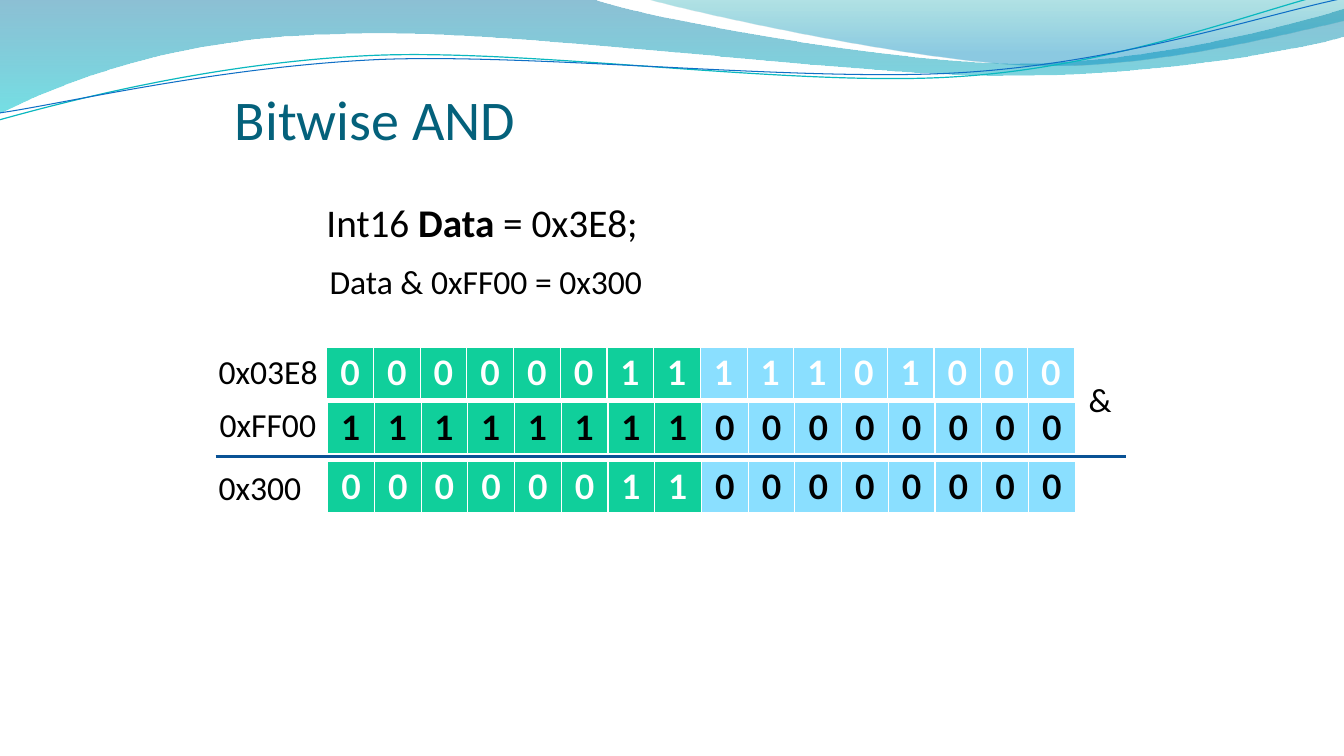
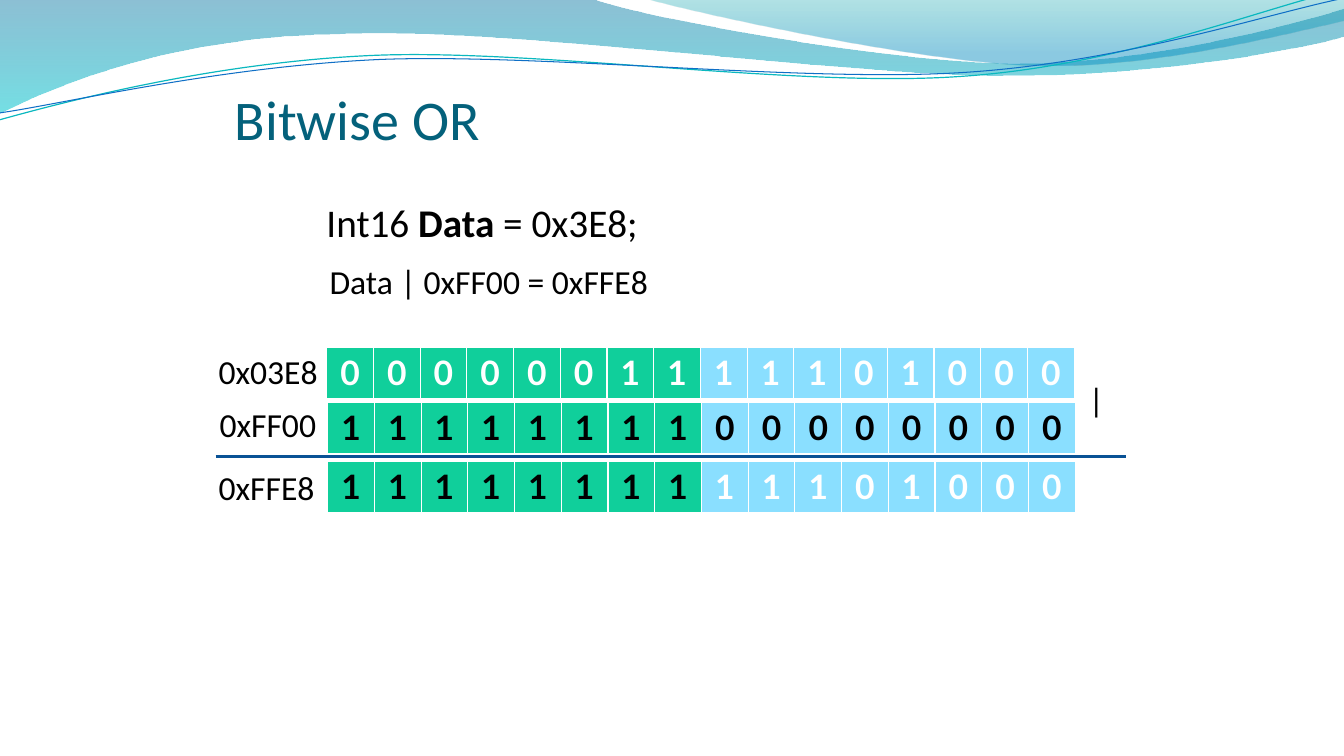
from lxml import etree
from pptx import Presentation, util as u
from pptx.dml.color import RGBColor
from pptx.enum import shapes, text
from pptx.oxml.ns import qn

# Content: title, declaration runs (text, bold), data, mask, operator,
# result, result label, and the mask bit that lets a data bit through
DECLARATION = [("Int16 ", False), ("Data", True), (" = 0x3E8;", False)]
DATA, MASK = 0x03E8, 0xFF00
SLIDES = [
    {"title": "Bitwise AND", "sign": "&", "result": DATA & MASK,
     "label": "0x300", "keeps": "1", "widths": (3.33, 1.03, 0.43)},
    {"title": "Bitwise OR", "sign": "|", "result": DATA | MASK,
     "label": "0xFFE8", "keeps": "0", "widths": (3.38, 1.16, 0.36)},
]

# Shared style
COLORS = {"title": "04617B", "text": "000000", "light": "FFFFFF",
          "high byte": "10CF9B", "low byte": "8ADFFF", "rule": "095295"}
BODY, DIGITS = "Calibri", "Lato"
WIDTH, HEIGHT = 13.33, 7.5
BITS, BIT_WIDTH, BIT_HEIGHT = 16, 7.42 / 16, 0.52
BORDERS = [("a:lnL", 1), ("a:lnR", 1), ("a:lnT", 1), ("a:lnB", 3)]
ROWS = [(3.24, 3.45), (3.25, 3.99), (3.25, 4.58)]
LABELS = [(2.07, 3.43), (2.08, 3.96), (2.07, 4.58)]

# Waves: two-number steps are straight, six-number steps are Bezier curves;
# gradient stops are (position, colour, opacity in percent)
BANDS = [
    ([(0, 0), (5.87, -0.01), (6.34, 0.17, 8.85, 0.63, 10.11, 0.63),
      (11.38, 0.63, 12.78, 0.26, 13.33, 0.09), (13.35, 0.36),
      (13.11, 0.44, 11.6, 0.76, 9.94, 0.75),
      (8.29, 0.75, 5.09, 0.28, 3.43, 0.34),
      (1.72, 0.36, 0.61, 0.83, -0.01, 1.13), (0, 0)],
     [(0, "0074A1", 45), (1, "00C6CF", 55)]),
    ([(6.39, -0.01), (6.79, 0.11, 9.09, 0.62, 10.25, 0.65),
      (11.41, 0.69, 12.82, 0.32, 13.33, 0.21), (13.33, 0), (6.39, -0.01)],
     [(0, "00A1A9", 30), (0.8, "008BBF", 45)]),
]
STRANDS = [
    ([(-0.01, 1.19), (0.64, 1.01, 2.11, 0.62, 3.69, 0.55),
      (5.27, 0.48, 7.9, 0.87, 9.5, 0.76),
      (11.1, 0.66, 12.52, 0.08, 13.31, -0.1)], "0AB8BF", 0.85),
    ([(0, 1.12), (0.63, 1.03, 2.18, 0.66, 3.78, 0.59),
      (5.37, 0.53, 7.96, 0.82, 9.55, 0.72),
      (11.15, 0.62, 12.55, 0.14, 13.34, -0.02)], "0F6FC6", 0.75),
]


def rgb(value):
    return RGBColor.from_string(value)


def add_outline(slide, steps, close):
    """Build straight segments between the anchors, then bend the curved ones."""
    start, *anchors = [tuple(map(u.Inches, step[-2:])) for step in steps]
    builder = slide.shapes.build_freeform(*start)
    builder.add_line_segments(anchors, close=close)
    outline = builder.convert_to_shape()
    outline.shadow.inherit = False
    segments = list(outline.element.iter(qn("a:lnTo")))
    for segment, step in zip(segments, steps[1:]):
        if len(step) == 6:
            segment.tag = qn("a:cubicBezTo")
            for i in (0, 1):
                x, y = map(u.Inches, step[2 * i:2 * i + 2])
                handle = etree.Element(qn("a:pt"), x=str(x - outline.left),
                                       y=str(y - outline.top))
                segment.insert(i, handle)
    return outline


def add_waves(slide):
    for steps, stops in BANDS:
        band = add_outline(slide, steps, True)
        band.line.fill.background()
        band.fill.gradient()
        band.fill.gradient_angle = 270
        for stop, (position, color, _) in zip(band.fill.gradient_stops, stops):
            stop.position = position
            stop.color.rgb = rgb(color)
        for node, (_, _, opacity) in zip(band.element.spPr.iter(qn("a:srgbClr")), stops):
            etree.SubElement(node, qn("a:alpha"), val=str(opacity * 1000))
    for steps, color, weight in STRANDS:
        strand = add_outline(slide, steps, False)
        strand.fill.background()
        strand.line.color.rgb = rgb(color)
        strand.line.width = u.Pt(weight)


def style(run, size, color, font=BODY, bold=False):
    run.font.size, run.font.name, run.font.bold = u.Pt(size), font, bold
    run.font.color.rgb = rgb(color)


def add_text(slide, left, top, width, height, runs, size=24, color=COLORS["text"]):
    box = slide.shapes.add_textbox(*map(u.Inches, (left, top, width, height)))
    frame = box.text_frame
    frame.word_wrap = False
    frame.auto_size = text.MSO_AUTO_SIZE.SHAPE_TO_FIT_TEXT
    for words, bold in runs:
        run = frame.paragraphs[0].add_run()
        run.text = words
        style(run, size, color, bold=bold)
    return frame


def add_title(slide, title):
    frame = add_text(slide, 2.33, 0.25, 9, 1.25, [(title, False)], 40, COLORS["title"])
    frame.word_wrap = True
    frame.auto_size = text.MSO_AUTO_SIZE.NONE
    frame.vertical_anchor = text.MSO_ANCHOR.BOTTOM
    frame.margin_left = frame.margin_right = frame.margin_bottom = 0


def add_border(cell):
    for side, weight in BORDERS:
        line = etree.SubElement(cell._tc.get_or_add_tcPr(), qn(side), w=str(u.Pt(weight)))
        fill = etree.SubElement(line, qn("a:solidFill"))
        etree.SubElement(fill, qn("a:srgbClr"), val=COLORS["light"])


def add_bits(slide, left, top, digits, colors):
    table = slide.shapes.add_table(1, BITS, *map(
        u.Inches, (left, top, BITS * BIT_WIDTH, BIT_HEIGHT))).table
    for i, (digit, color) in enumerate(zip(digits, colors)):
        table.columns[i].width = u.Inches(BIT_WIDTH)
        cell = table.cell(0, i)
        add_border(cell)
        cell.fill.solid()
        cell.fill.fore_color.rgb = rgb(COLORS["high byte" if i < BITS / 2 else "low byte"])
        paragraph = cell.text_frame.paragraphs[0]
        paragraph.text = digit
        paragraph.alignment = text.PP_ALIGN.CENTER
        style(paragraph.runs[0], 24, color, DIGITS, True)


def add_rule(slide):
    rule = slide.shapes.add_connector(
        shapes.MSO_CONNECTOR.STRAIGHT, *map(u.Inches, (2.14, 4.53, 11.17, 4.53)))
    rule.line.color.rgb = rgb(COLORS["rule"])
    rule.line.width = u.Pt(2.25)
    etree.SubElement(rule.element.spPr, qn("a:effectLst"))


# Build the slides
deck = Presentation()
deck.slide_width, deck.slide_height = u.Inches(WIDTH), u.Inches(HEIGHT)
for operation in SLIDES:
    slide = deck.slides.add_slide(deck.slide_layouts[6])
    formula_width, label_width, sign_width = operation["widths"]
    add_waves(slide)
    add_title(slide, operation["title"])
    add_text(slide, 3.14, 1.92, 3.33, 0.57, DECLARATION, 28)
    formula = f"Data {operation['sign']} 0xFF00 = 0x{operation['result']:X}"
    add_text(slide, 3.17, 2.54, formula_width, 0.5, [(formula, False)])

    # Data bits are white, mask bits black; the result mixes both
    data, mask, result = (f"{n:016b}" for n in (DATA, MASK, operation["result"]))
    mixed = [COLORS["light" if bit == operation["keeps"] else "text"] for bit in mask]
    tones = [[COLORS["light"]] * BITS, [COLORS["text"]] * BITS, mixed]
    for (left, top), digits, colors in zip(ROWS, (data, mask, result), tones):
        add_bits(slide, left, top, digits, colors)

    names = ("0x03E8", "0xFF00", operation["label"])
    for (left, top), name, width in zip(LABELS, names, (1.19, 1.17, label_width)):
        add_text(slide, left, top, width, 0.5, [(name, False)])
    add_rule(slide)
    add_text(slide, 10.7, 3.71, sign_width, 0.5, [(operation["sign"], False)])

deck.save("out.pptx")
